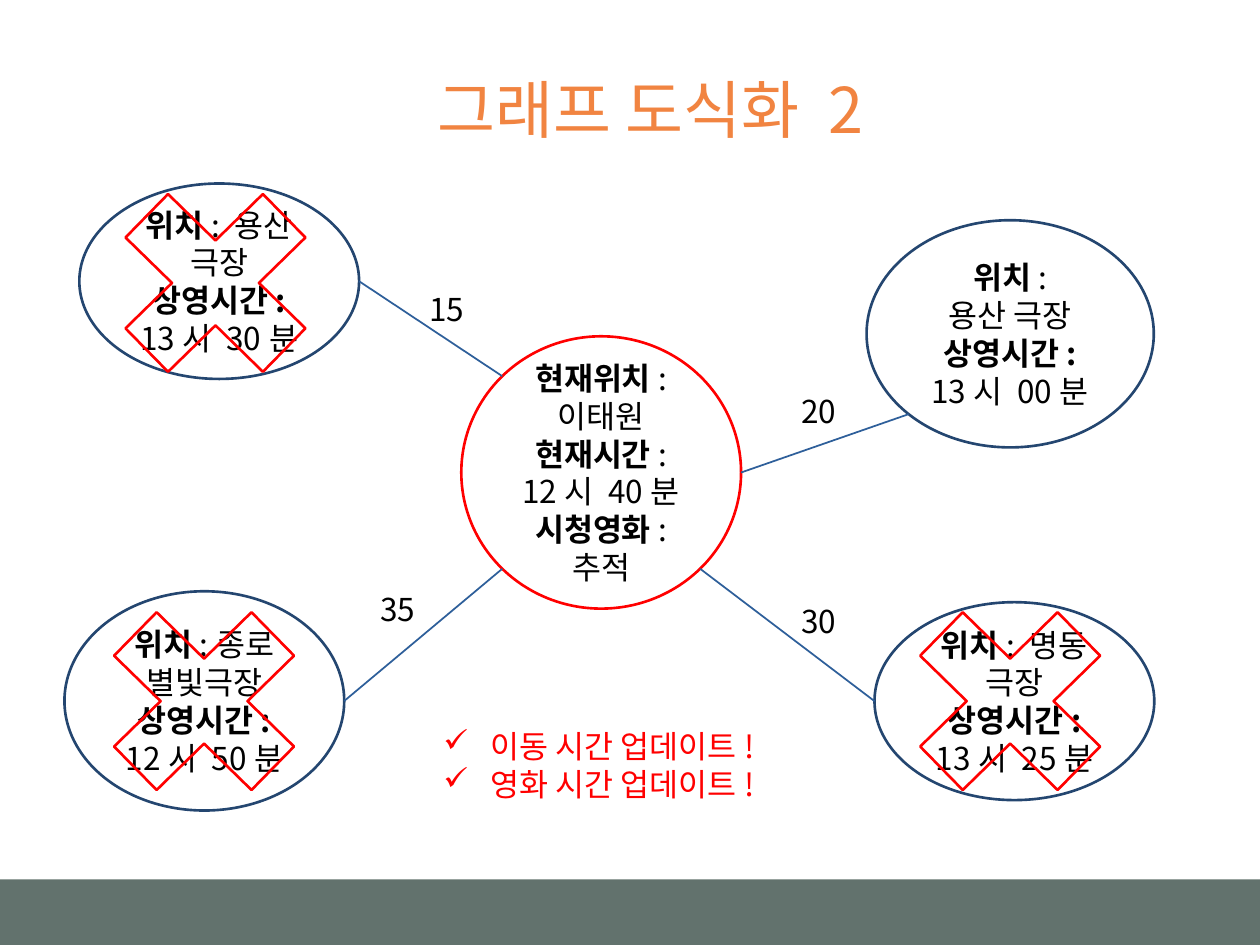
from math import cos, radians, sin

from lxml import etree
from pptx import Presentation
from pptx.dml.color import RGBColor
from pptx.enum.shapes import MSO_CONNECTOR, MSO_SHAPE
from pptx.enum.text import MSO_ANCHOR, PP_ALIGN
from pptx.oxml.ns import qn
from pptx.util import Cm, Pt

OVAL, CROSS, BAR = MSO_SHAPE.OVAL, MSO_SHAPE.MATH_MULTIPLY, MSO_SHAPE.RECTANGLE
CENTER, LEFT = PP_ALIGN.CENTER, PP_ALIGN.LEFT
TOP, MIDDLE = MSO_ANCHOR.TOP, MSO_ANCHOR.MIDDLE
FONT = "Noto Sans CJK KR"
COLORS = {
    "title": "F18441", "bar": "62726D", "node": "244670", "edge": "2E5F9A",
    "red": "FF0000", "black": "000000", "white": "FFFFFF",
}

TITLE = "그래프 도식화 2"
TITLE_BOX = (6.25, 1.3, 13.74, 1.8)
BAR_BOX = (0, 17.73, 25.4, 1.32)

# Each line of a node is a bold part followed by a regular part; boxes in cm.
NODES = {
    "current": ((9.3, 6.78, 5.64, 5.49), "red", [
        ("현재위치", ": 이태원"), ("현재시간", ": 12시 40분"), ("시청영화", ": 추적")]),
    "top right": ((17.47, 4.44, 5.79, 4.58), "node", [
        ("위치", ":"), ("", "용산 극장"), ("상영시간:", ""), ("", "13시 00분")]),
    "top left": ((1.6, 3.7, 5.64, 3.94), "node", [
        ("위치", ": 용산 극장"), ("상영시간:", ""), ("", "13시 30분")]),
    "bottom left": ((1.3, 11.92, 5.64, 4.42), "node", [
        ("위치", ":종로"), ("", "별빛극장"), ("상영시간:", ""), ("", "12시 50분")]),
    "bottom right": ((17.63, 12.14, 5.64, 3.99), "node", [
        ("위치", ": 명동 극장"), ("상영시간:", ""), ("", "13시 25분")]),
}
# Node, angle on its rim, angle on the current node's rim, minutes, label corner
EDGES = [
    ("top left", 0, 225, "15", (8.41, 5.72)),
    ("top right", 135, 0, "20", (15.9, 7.77)),
    ("bottom left", 0, 135, "35", (7.42, 11.76)),
    ("bottom right", 180, 45, "30", (15.9, 12.01)),
]
LABEL_SIZE = (1.22, 1.02)
CROSS_CORNERS = [(1.45, 11.53), (17.7, 11.53), (1.68, 3.1)]
CROSS_SIZE = (5.33, 5.21)
UPDATES = ["이동 시간 업데이트!", "영화 시간 업데이트!"]
UPDATES_BOX = (8.69, 14.53, 7.24, 1.8)
BULLET_INDENT = Cm(0.95)


def rgb(name):
    return RGBColor.from_string(COLORS[name])


def lengths(values):
    return [Cm(value) for value in values]


def add_run(paragraph, text, color="black", size=18, bold=False):
    run = paragraph.add_run()
    run.text = text
    formats = {"name": FONT, "size": Pt(size), "bold": bold}
    for attribute, value in formats.items():
        setattr(run.font, attribute, value)
    run.font.color.rgb = rgb(color)
    latin = run.font._element.find(qn("a:latin"))
    east_asian = etree.Element(qn("a:ea"), typeface=FONT)
    latin.addnext(east_asian)


def add_shape(slide, kind, box, fill=None, line=None):
    shape = slide.shapes.add_shape(kind, *lengths(box))
    shape.shadow.inherit = False
    if fill:
        shape.fill.solid()
        shape.fill.fore_color.rgb = rgb(fill)
    else:
        shape.fill.background()
    if line:
        shape.line.color.rgb = rgb(line)
        shape.line.width = Pt(1.5)
    else:
        shape.line.fill.background()
    return shape


def add_title(slide):
    title = slide.shapes.title
    title.left, title.top, title.width, title.height = lengths(TITLE_BOX)
    title.text_frame.vertical_anchor = TOP
    paragraph = title.text_frame.paragraphs[0]
    paragraph.alignment = CENTER
    add_run(paragraph, TITLE, "title", 36)


def add_paragraphs(frame, count, alignment):
    for _ in range(count - 1):
        frame.add_paragraph()
    for paragraph in frame.paragraphs:
        paragraph.alignment = alignment
    return frame.paragraphs


def add_node(slide, box, line, lines):
    frame = add_shape(slide, OVAL, box, "white", line).text_frame
    frame.word_wrap = True
    frame.vertical_anchor = MIDDLE
    paragraphs = add_paragraphs(frame, len(lines), CENTER)
    for paragraph, (heading, value) in zip(paragraphs, lines):
        if heading:
            add_run(paragraph, heading, bold=True)
        if value:
            add_run(paragraph, value)


def rim_point(node, angle):
    """Connection site of an ellipse, with the angle clockwise from the right."""
    left, top, width, height = NODES[node][0]
    turn = radians(angle)
    return left + width / 2 * (1 + cos(turn)), top + height / 2 * (1 + sin(turn))


def add_edge(slide, node, node_angle, current_angle):
    ends = rim_point("current", current_angle) + rim_point(node, node_angle)
    edge = slide.shapes.add_connector(MSO_CONNECTOR.STRAIGHT, *lengths(ends))
    edge.line.color.rgb = rgb("edge")
    edge.line.width = Pt(1)
    etree.SubElement(edge._element.spPr, qn("a:effectLst"))


def add_label(slide, text, corner):
    label = slide.shapes.add_textbox(*lengths(corner + LABEL_SIZE))
    label.text_frame.word_wrap = False
    add_run(label.text_frame.paragraphs[0], text)


def add_updates(slide):
    frame = slide.shapes.add_textbox(*lengths(UPDATES_BOX)).text_frame
    frame.word_wrap = False
    for paragraph, text in zip(add_paragraphs(frame, len(UPDATES), LEFT), UPDATES):
        properties = paragraph._p.get_or_add_pPr()
        properties.set("marL", str(BULLET_INDENT))
        properties.set("indent", str(-BULLET_INDENT))
        etree.SubElement(properties, qn("a:buChar"), char="✓")
        add_run(paragraph, text, "red")


def main():
    presentation = Presentation()
    presentation.slide_width, presentation.slide_height = Cm(25.4), Cm(19.05)
    slide = presentation.slides.add_slide(presentation.slide_layouts[5])
    add_title(slide)
    add_shape(slide, BAR, BAR_BOX, "bar")
    for box, line, lines in NODES.values():
        add_node(slide, box, line, lines)
    for node, node_angle, current_angle, minutes, corner in EDGES:
        add_edge(slide, node, node_angle, current_angle)
        add_label(slide, minutes, corner)
    add_updates(slide)
    for corner in CROSS_CORNERS:
        add_shape(slide, CROSS, corner + CROSS_SIZE, line="red")
    presentation.save("out.pptx")


if __name__ == "__main__":
    main()
